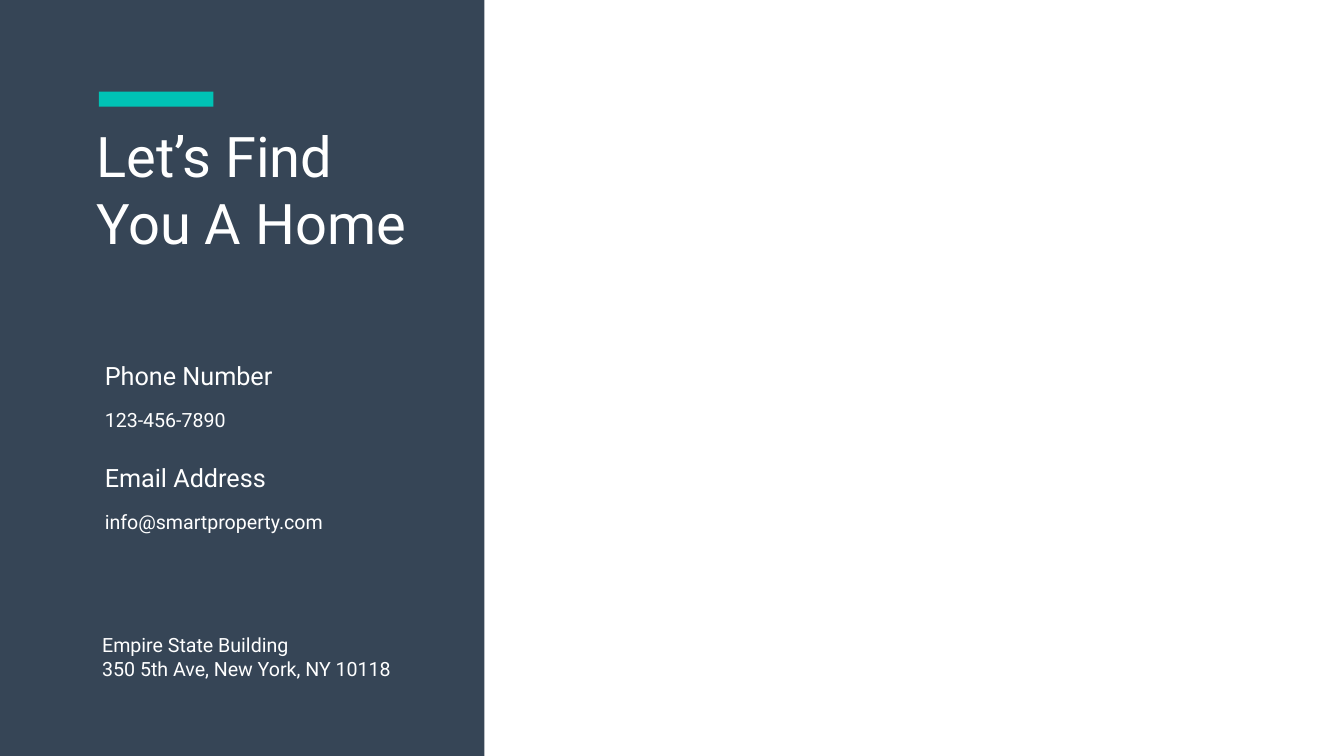
from pptx import Presentation
from pptx.dml.color import RGBColor
from pptx.enum.shapes import MSO_SHAPE
from pptx.enum.text import MSO_ANCHOR, MSO_AUTO_SIZE, PP_ALIGN
from pptx.util import Cm, Pt

RECTANGLE = MSO_SHAPE.RECTANGLE
TOP = MSO_ANCHOR.TOP
NO_AUTOSIZE = MSO_AUTO_SIZE.NONE
LEFT = PP_ALIGN.LEFT

NAVY, TEAL, WHITE = "364556", "00C2B5", "FFFFFF"
FONT = "Roboto"
TITLE_ONLY = 5


def colour(hex_string):
    return RGBColor.from_string(hex_string)


def add_block(page, box, fill):
    block = page.shapes.add_shape(RECTANGLE, *map(Cm, box))
    block.shadow.inherit = False
    block.fill.solid()
    block.fill.fore_color.rgb = colour(fill)
    block.line.fill.background()
    return block


def write(shape, lines, size, spacing=1.0, wrap=True):
    frame = shape.text_frame
    frame_format = {
        "word_wrap": wrap, "auto_size": NO_AUTOSIZE, "vertical_anchor": TOP,
        "margin_left": Cm(0.25), "margin_right": Cm(0.25),
        "margin_top": Cm(0.13), "margin_bottom": Cm(0.13),
    }
    for name, value in frame_format.items():
        setattr(frame, name, value)
    for index, line in enumerate(lines):
        para = frame.paragraphs[0] if index == 0 else frame.add_paragraph()
        para.alignment = LEFT
        para.line_spacing = spacing
        span = para.add_run()
        span.text = line
        for name, value in {"name": FONT, "size": Pt(size)}.items():
            setattr(span.font, name, value)
        span.font.color.rgb = colour(WHITE)


def add_text(page, box, lines, size, **layout):
    write(page.shapes.add_textbox(*map(Cm, box)), lines, size, **layout)


def add_heading(page, box):
    left, top, width, height = box
    # Accent bar above the title
    add_block(page, (left + 0.38, top, 5.77, 0.76), TEAL)
    # Title
    title = page.shapes.title
    places = {"left": left, "top": top + 1.37, "width": width, "height": height - 1.37}
    for name, value in places.items():
        setattr(title, name, Cm(value))
    write(title, ["Let’s Find You A Home"], 80)


def add_contact(page, box, label, detail):
    left, top, width, height = box
    label_height = 1.8
    add_text(page, (left, top, width, label_height), [label], 36)
    add_text(page, (left, top + label_height, width, height - label_height),
             [detail], 28, spacing=1.5)


def add_contact_panel(page, box):
    left, top, width, height = box
    # Dark background, kept behind the title
    panel = add_block(page, box, NAVY)
    panel.element.addnext(page.shapes.title.element)
    add_heading(page, (left + 4.6, top + 4.62, 16.31, 8.46))
    # Phone and email
    contacts = [
        ("Phone Number", "123-456-7890"),
        ("Email Address", "info@smartproperty.com"),
    ]
    for index, (label, detail) in enumerate(contacts):
        contact_box = (left + 5.03, top + 18.01 + index * 5.18, 12.55, 3.65)
        add_contact(page, contact_box, label, detail)
    # Street address
    add_text(page, (left + 4.9, top + height - 6.32, 15.06, 2.64),
             ["Empire State Building", "350 5th Ave, New York, NY 10118"],
             28, wrap=False)


def main():
    deck = Presentation()
    deck.slide_width, deck.slide_height = Cm(67.72), Cm(38.1)
    page = deck.slides.add_slide(deck.slide_layouts[TITLE_ONLY])
    page.background.fill.solid()
    page.background.fill.fore_color.rgb = colour(WHITE)
    add_contact_panel(page, (0, 0, 24.41, 38.1))
    deck.save("out.pptx")


if __name__ == "__main__":
    main()
